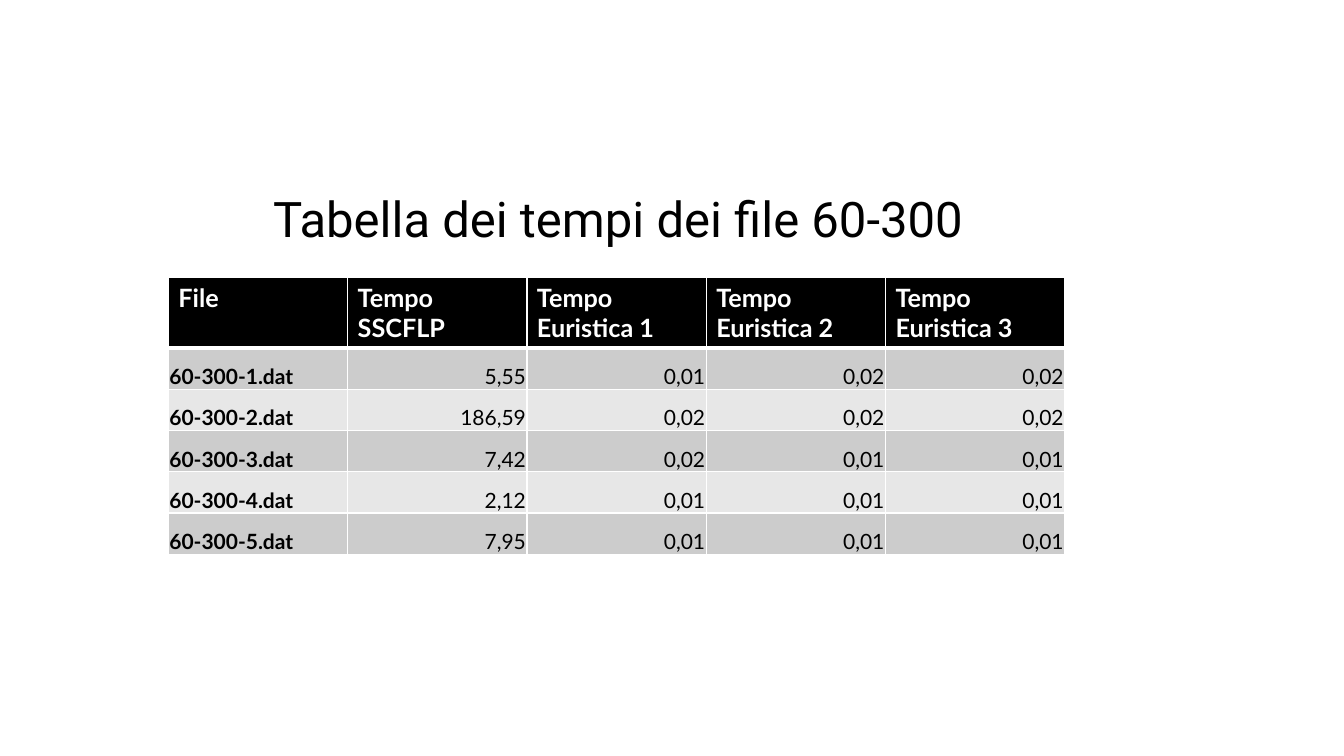
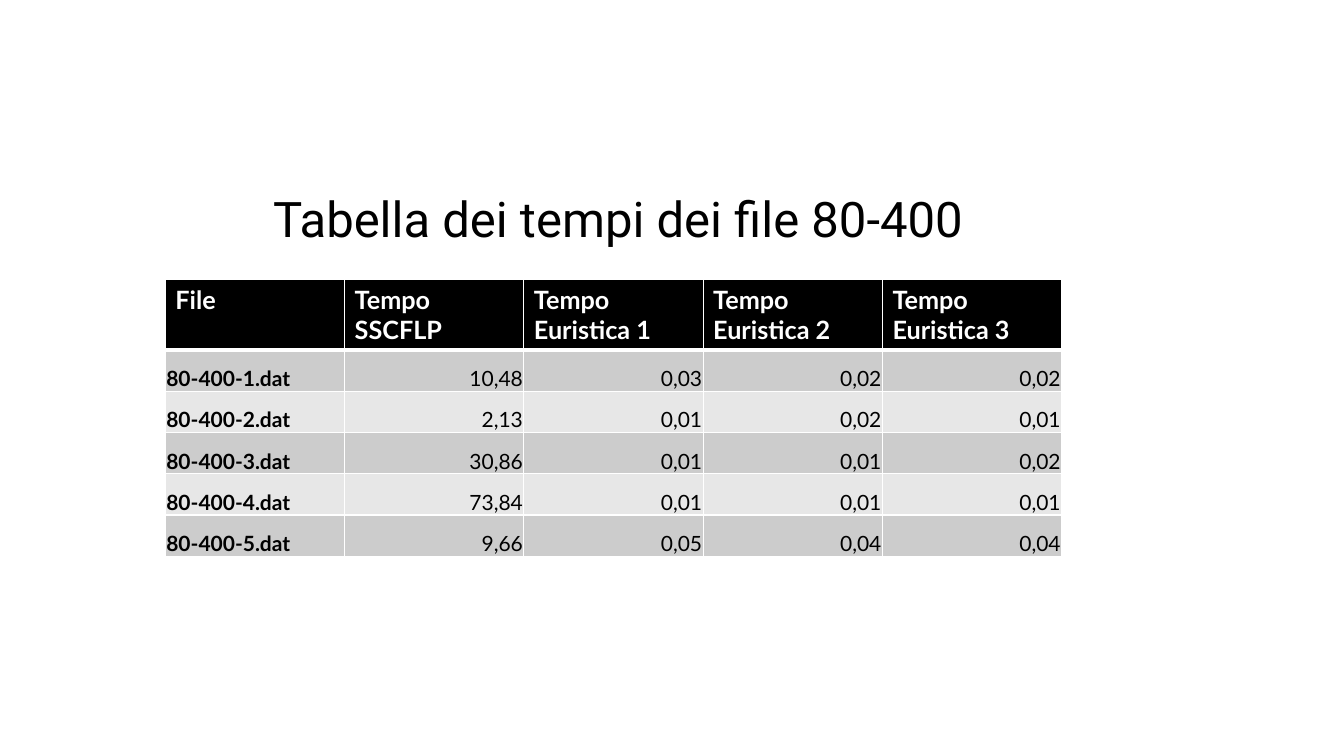
from dataclasses import dataclass
from lxml.etree import SubElement
from pptx import Presentation
from pptx.dml.color import RGBColor
from pptx.enum.text import MSO_ANCHOR, MSO_AUTO_SIZE, PP_ALIGN
from pptx.oxml.ns import qn
from pptx.util import Inches, Pt


@dataclass(frozen=True)
class Theme:
    ink: str = "000000"
    paper: str = "FFFFFF"
    bands: tuple = ("CCCCCC", "E7E7E7")
    title_font: str = "Roboto"
    table_font: str = "Lato"
    title_size: int = 35
    head_size: int = 18
    body_size: int = 15
    rule: int = 1
    head_rule: int = 3


THEME = Theme()
HEADS = ["File", "Tempo SSCFLP", "Tempo Euristica 1",
         "Tempo Euristica 2", "Tempo Euristica 3"]

# Each entry: file group, title box, table box, times per file
SLIDES = [
    ("60-300", (2.61, 1.82, 7.27, 0.69), (1.67, 2.75, 8.89, 2.73), [
        ("5,55", "0,01", "0,02", "0,02"),
        ("186,59", "0,02", "0,02", "0,02"),
        ("7,42", "0,02", "0,01", "0,01"),
        ("2,12", "0,01", "0,01", "0,01"),
        ("7,95", "0,01", "0,01", "0,01"),
    ]),
    ("80-400", (2.61, 1.82, 8.09, 0.69), (1.64, 2.77, 8.89, 2.73), [
        ("10,48", "0,03", "0,02", "0,02"),
        ("2,13", "0,01", "0,02", "0,01"),
        ("30,86", "0,01", "0,01", "0,02"),
        ("73,84", "0,01", "0,01", "0,01"),
        ("9,66", "0,05", "0,04", "0,04"),
    ]),
]


def add_run(para, text, font, size, color, bold=False):
    run = para.add_run()
    run.text = text
    run.font.name = font
    run.font.size = Pt(size)
    run.font.bold = bold
    run.font.color.rgb = RGBColor.from_string(color)


def set_rules(cell, bottom):
    """Draw the four cell borders; call before the fill is set."""
    props = cell._tc.get_or_add_tcPr()
    for side in "LRTB":
        width = bottom if side == "B" else THEME.rule
        line = SubElement(props, qn(f"a:ln{side}"), w=str(Pt(width)))
        fill = SubElement(line, qn("a:solidFill"))
        SubElement(fill, qn("a:srgbClr"), val=THEME.paper)


def paint(cell, color, bottom=THEME.rule):
    set_rules(cell, bottom)
    cell.fill.solid()
    cell.fill.fore_color.rgb = RGBColor.from_string(color)


def add_title(slide, box, text):
    shape = slide.shapes.add_textbox(*map(Inches, box))
    frame = shape.text_frame
    frame.word_wrap = True
    frame.auto_size = MSO_AUTO_SIZE.SHAPE_TO_FIT_TEXT
    add_run(frame.paragraphs[0], text, THEME.title_font,
            THEME.title_size, THEME.ink)


def fill_head(cell, text):
    paint(cell, THEME.ink, THEME.head_rule)
    add_run(cell.text_frame.paragraphs[0], text, THEME.table_font,
            THEME.head_size, THEME.paper, True)


def fill_body(cell, text, band, first):
    paint(cell, band)
    cell.vertical_anchor = MSO_ANCHOR.BOTTOM
    cell.margin_left = cell.margin_top = cell.margin_right = Inches(0.01)
    cell.margin_bottom = 0
    para = cell.text_frame.paragraphs[0]
    para.alignment = PP_ALIGN.LEFT if first else PP_ALIGN.RIGHT
    add_run(para, text, THEME.table_font, THEME.body_size, THEME.ink, first)


def add_times(slide, box, group, times):
    rows = [(f"{group}-{num}.dat", *vals) for num, vals in enumerate(times, 1)]
    frame = slide.shapes.add_table(len(rows) + 1, len(HEADS),
                                   *map(Inches, box))
    table = frame.table
    table.first_row = table.horz_banding = False
    # The header row grows to hold its two lines of text
    for row in table.rows:
        row.height = Inches(0.41)
    frame.height = Inches(box[3])
    for col, text in enumerate(HEADS):
        fill_head(table.cell(0, col), text)
    for num, row in enumerate(rows):
        band = THEME.bands[num % 2]
        for col, text in enumerate(row):
            fill_body(table.cell(num + 1, col), text, band, col == 0)


def main():
    deck = Presentation()
    deck.slide_width, deck.slide_height = Inches(13.33), Inches(7.5)
    for group, title_box, table_box, times in SLIDES:
        slide = deck.slides.add_slide(deck.slide_layouts[6])
        add_times(slide, table_box, group, times)
        add_title(slide, title_box, f"Tabella dei tempi dei file {group}")
    deck.save("out.pptx")


if __name__ == "__main__":
    main()
